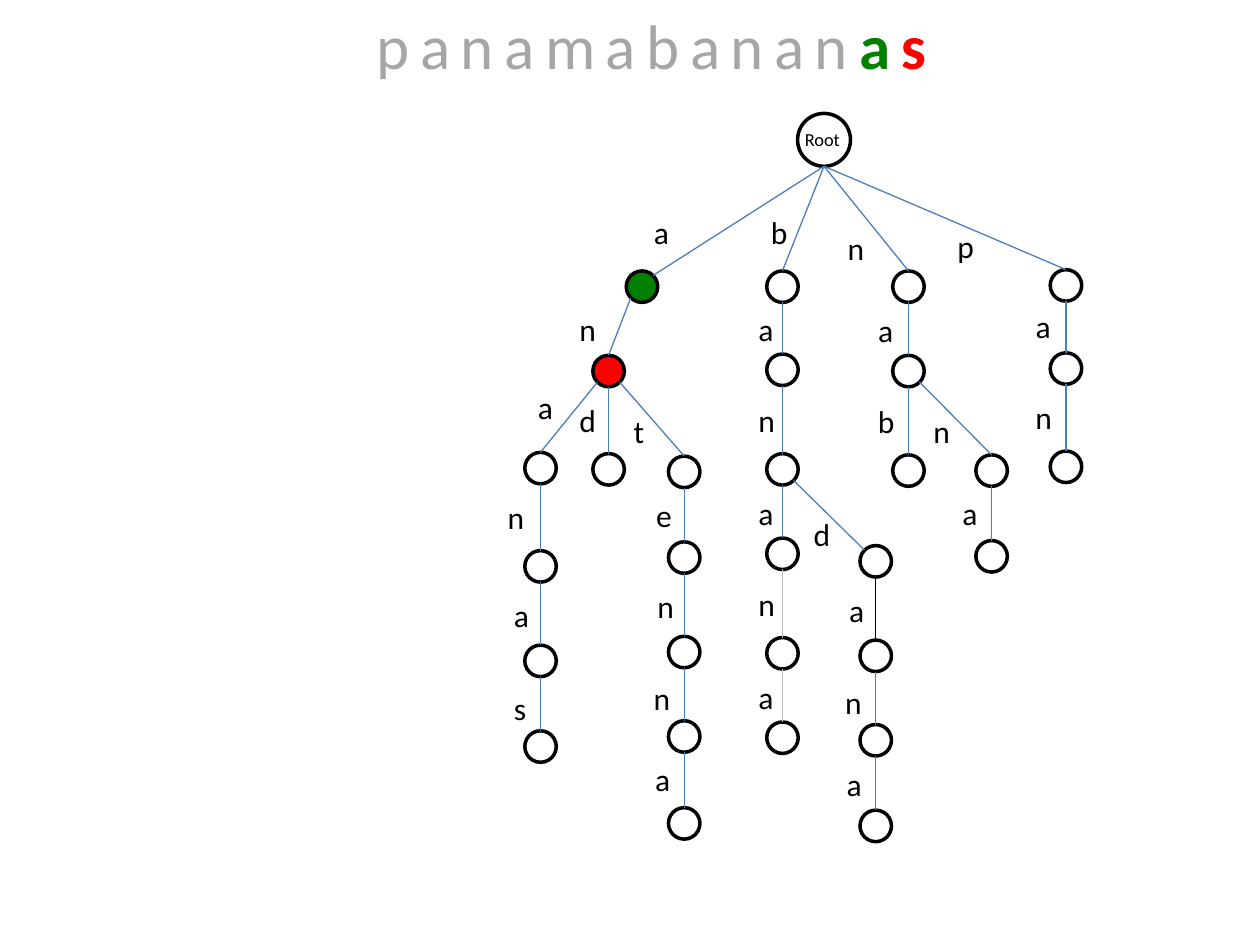
from math import cos, radians, sin

from lxml import etree
from pptx import Presentation
from pptx import util as u
from pptx.dml.color import RGBColor
from pptx.enum import shapes, text
from pptx.oxml.ns import qn

SLIDE_W, SLIDE_H = 10, 7.5
COLS, ROWS = 47, 58  # grid of the trie's box
COLORS = {"ink": "000000", "paper": "FFFFFF", "edge": "4B7EBC", "faint": "BFBFBF",
          "muted": "A6A6A6", "green": "008000", "red": "FF0000"}

DOWN, DOWN_RIGHT, DOWN_LEFT = 90, 45, 135
UP, UP_RIGHT, UP_LEFT = -90, -45, -135
NODE_RADIUS, ROOT_RADIUS = 1.25, 2.1
ROOT_COL, ROOT_ROW = 26.4, 2.1
LABEL_WIDTHS = {"a": 3.2, "e": 3.3, "s": 3.0, "t": 2.9}
NODE_FILLS = {"a": "green", "an": "red"}
EDGE_COLORS = {"banan": "faint", "banana": "faint", "banda": "ink"}

# Parent prefix, column, angles at parent and child, then per node:
# letter, row, label column, label row
BRANCHES = [
    ("", 11.95, DOWN, UP_RIGHT, [("a", 13.75, 11.9, 7.4)]),
    ("a", 9.3, DOWN_LEFT, UP, [("n", 20.45, 6, 15.1), ("d", 28.25, 6, 22.3)]),
    ("an", 3.9, DOWN_LEFT, UP, [("a", 28.15, 2.7, 21.3), ("n", 35.95, 0.3, 30),
                                ("a", 43.45, 0.8, 37.8), ("s", 50.25, 0.8, 45.2)]),
    ("an", 15.3, DOWN_RIGHT, UP, [("t", 28.45, 10.3, 23.2), ("e", 35.25, 12.1, 29.9),
                                  ("n", 42.75, 12.2, 37.1), ("n", 49.45, 11.9, 44.4),
                                  ("a", 56.35, 12, 50.8)]),
    ("", 23.1, DOWN, UP, [("b", 13.75, 21.2, 7.4), ("a", 20.35, 20.2, 15.1),
                          ("n", 28.25, 20.2, 22.3), ("a", 34.95, 20.2, 29.7),
                          ("n", 42.85, 20.2, 36.9), ("a", 49.55, 20.2, 44.3)]),
    ("ban", 30.5, DOWN_RIGHT, UP_LEFT, [("d", 35.55, 24.6, 31.4), ("a", 43.05, 27.4, 37.4),
                                        ("n", 49.75, 27.1, 44.7), ("a", 56.55, 27.2, 51.2)]),
    ("", 33.1, DOWN, UP, [("n", 13.75, 27.3, 8.7), ("a", 20.45, 29.7, 15.2),
                          ("b", 28.35, 29.7, 22.4)]),
    ("na", 39.7, DOWN_RIGHT, UP, [("n", 28.35, 34.1, 23.2), ("a", 35.15, 36.4, 29.7)]),
    ("", 45.6, DOWN, UP, [("p", 13.65, 36, 8.5), ("a", 20.25, 42.2, 14.9),
                          ("n", 28.05, 42.2, 22.1)]),
]


def rgb(name):
    return RGBColor.from_string(COLORS[name])


def add_text(slide, box, runs, size, wrap=True, align=text.PP_ALIGN.LEFT, spacing=None):
    """Place runs of (words, colour, bold) in a box given in inches."""
    frame = slide.shapes.add_textbox(*map(u.Inches, box)).text_frame
    frame.word_wrap = wrap
    frame.auto_size = text.MSO_AUTO_SIZE.SHAPE_TO_FIT_TEXT
    paragraph = frame.paragraphs[0]
    paragraph.alignment = align
    for words, color, bold in runs:
        run = paragraph.add_run()
        run.text = words
        run.font.name, run.font.size, run.font.bold = "Calibri", u.Pt(size), bold
        run.font.color.rgb = rgb(color)
        if spacing:
            run.font._element.set("spc", str(spacing * 100))


def add_node(slide, x, y, radius, fill):
    node = slide.shapes.add_shape(
        shapes.MSO_SHAPE.OVAL,
        *map(u.Inches, (x - radius, y - radius, 2 * radius, 2 * radius)))
    node.shadow.inherit = False
    node.fill.solid()
    node.fill.fore_color.rgb = rgb(fill)
    node.line.color.rgb = rgb("ink")
    node.line.width = u.Pt(2)


def add_edge(slide, start, end, color):
    edge = slide.shapes.add_connector(shapes.MSO_CONNECTOR.STRAIGHT,
                                      *map(u.Inches, (*start, *end)))
    edge.line.color.rgb = rgb(color)
    edge.line.width = u.Pt(0.75)
    etree.SubElement(edge._element.spPr, qn("a:effectLst"))


def rim(node, angle):
    """Point on a node's outline; angles run clockwise from the right."""
    x, y, radius = node
    return x + radius * cos(radians(angle)), y + radius * sin(radians(angle))


def draw_word(slide, box):
    add_text(slide, box,
             [("panamabanan", "muted", False), ("a", "green", True), ("s", "red", True)],
             36, align=text.PP_ALIGN.CENTER, spacing=6)


def draw_trie(slide, box):
    left, top, width, height = box
    col, row = width / COLS, height / ROWS

    def place(c, r):
        return left + c * col, top + r * row

    # Root; every other node is keyed by the prefix it spells
    nodes = {"": (*place(ROOT_COL, ROOT_ROW), ROOT_RADIUS * col)}
    add_node(slide, *nodes[""], "paper")
    add_text(slide, (*place(23.9, 0.7), 5.5 * col, 2.8 * row), [("Root", "ink", False)], 10.5)

    for prefix, column, leave, arrive, steps in BRANCHES:
        for letter, node_row, label_col, label_row in steps:
            parent, prefix = prefix, prefix + letter
            nodes[prefix] = (*place(column, node_row), NODE_RADIUS * col)
            add_node(slide, *nodes[prefix], NODE_FILLS.get(prefix, "paper"))
            add_edge(slide, rim(nodes[parent], leave), rim(nodes[prefix], arrive),
                     EDGE_COLORS.get(prefix, "edge"))
            label_box = (*place(label_col, label_row),
                         LABEL_WIDTHS.get(letter, 3.4) * col, 4 * row)
            add_text(slide, label_box, [(letter, "ink", False)], 18, wrap=False)
            leave, arrive = DOWN, UP  # the rest of a branch runs straight down


def main():
    deck = Presentation()
    deck.slide_width, deck.slide_height = u.Inches(SLIDE_W), u.Inches(SLIDE_H)
    slide = deck.slides.add_slide(deck.slide_layouts[6])
    draw_trie(slide, (0.39 * SLIDE_W, 0.12 * SLIDE_H, 0.47 * SLIDE_W, 5.8))
    draw_word(slide, (2.67, 0, 0.5 * SLIDE_W, 0.71))
    deck.save("out.pptx")


if __name__ == "__main__":
    main()
